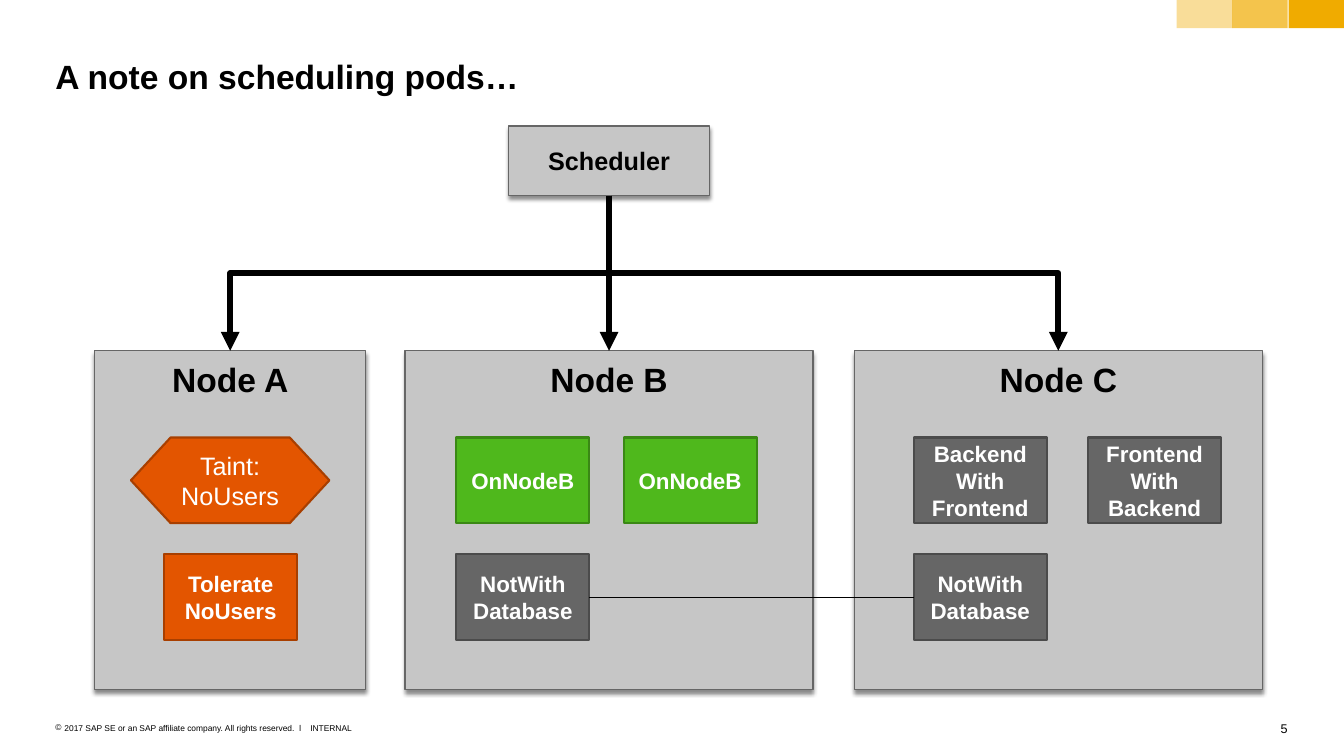
from lxml import etree
from pptx import Presentation
from pptx.dml.color import RGBColor
from pptx.enum.shapes import MSO_CONNECTOR as CONN, MSO_SHAPE as SHAPE
from pptx.enum.text import MSO_ANCHOR as ANCHOR, PP_ALIGN as ALIGN
from pptx.oxml.ns import qn
from pptx.util import Inches, Pt

FONT = "Arial"
COLORS = {
    "black": "000000", "white": "FFFFFF", "gold": "F0AB00",
    "panel": "C6C6C6", "gray": "666666", "gray_edge": "4B4B4B",
    "orange": "E35500", "orange_edge": "A83F00",
    "green": "4FB81C", "green_edge": "3A8815",
}
POD_W, POD_H = 1.32, 0.85
ROW_1, ROW_2 = 4.34, 5.5
NODE_TOP, NODE_H = 3.48, 3.36


def rgb(name):
    return RGBColor.from_string(COLORS[name])


def add_xml(parent, tag, **attrs):
    return etree.SubElement(parent, qn(tag), {k: str(v) for k, v in attrs.items()})


def write(tf, text, size=16, color="black", bold=False, align=ALIGN.LEFT,
          anchor=ANCHOR.TOP, wrap=True, inset=(0, 0), bullet=None):
    tf.word_wrap, tf.vertical_anchor = wrap, anchor
    tf.margin_left = tf.margin_right = Inches(inset[0])
    tf.margin_top = tf.margin_bottom = Inches(inset[1])
    p = tf.paragraphs[0]
    p.alignment = align
    if bullet:
        pPr = p._p.get_or_add_pPr()
        pPr.set("marL", str(Inches(0.09)))
        pPr.set("indent", str(-Inches(0.09)))
        add_xml(pPr, "a:buFont", typeface=FONT)
        add_xml(pPr, "a:buChar", char=bullet)
    r = p.add_run()
    r.text = text
    r.font.name, r.font.size, r.font.bold = FONT, Pt(size), bold
    r.font.color.rgb = rgb(color)


def add_label(slide, x, y, w, h, text, **fmt):
    sp = slide.shapes.add_textbox(Inches(x), Inches(y), Inches(w), Inches(h))
    write(sp.text_frame, text, **fmt)


def add_box(slide, x, y, w, h, fill, edge=None, edge_pt=1.5, kind=SHAPE.RECTANGLE):
    sp = slide.shapes.add_shape(kind, Inches(x), Inches(y), Inches(w), Inches(h))
    sp.shadow.inherit = False
    sp.fill.solid()
    sp.fill.fore_color.rgb = rgb(fill)
    if edge:
        sp.line.color.rgb = rgb(edge)
        sp.line.width = Pt(edge_pt)
    else:
        sp.line.fill.background()
    return sp


def add_band(slide, x, opacity):
    sp = add_box(slide, x, 0, 0.55, 0.28, "gold")
    clr = sp._element.spPr.find(".//" + qn("a:srgbClr"))
    add_xml(clr, "a:alpha", val=opacity * 1000)


def add_panel(slide, x, y, w, h, text, size=24, anchor=ANCHOR.TOP):
    sp = add_box(slide, x, y, w, h, "panel", "gray", 0.79)
    effects = sp._element.spPr.find(qn("a:effectLst"))
    shadow = add_xml(effects, "a:outerShdw", blurRad=Pt(3), dist=Pt(2.4),
                     dir=90 * 60000, algn="t", rotWithShape=0)
    clr = add_xml(shadow, "a:srgbClr", val=COLORS["black"])
    add_xml(clr, "a:alpha", val=45000)
    write(sp.text_frame, text, size=size, bold=True, align=ALIGN.CENTER,
          anchor=anchor, inset=(0.1, 0.08))
    return sp


def add_pod(slide, x, y, text, color, w=POD_W, size=16, bold=True, kind=SHAPE.RECTANGLE):
    sp = add_box(slide, x, y, w, POD_H, color, color + "_edge", kind=kind)
    write(sp.text_frame, text, size=size, color="white", bold=bold,
          align=ALIGN.CENTER, anchor=ANCHOR.MIDDLE, inset=(0.1, 0.08))
    return sp


def add_link(slide, start, start_side, end, end_side, width, kind=CONN.STRAIGHT, arrow=False):
    c = slide.shapes.add_connector(kind, 0, 0, 0, 0)
    c.begin_connect(start, start_side)
    c.end_connect(end, end_side)
    c.line.color.rgb = rgb("black")
    c.line.width = Pt(width)
    if arrow:
        add_xml(c.line._get_or_add_ln(), "a:tailEnd", type="triangle")
    add_xml(c._element.spPr, "a:effectLst")
    return c


def add_schedule_arrow(slide, scheduler, node):
    x1, y1 = scheduler.left + scheduler.width // 2, scheduler.top + scheduler.height
    x2, y2 = node.left + node.width // 2, node.top
    run, drop = x2 - x1, y2 - y1
    straight = abs(run) < Inches(0.02)
    c = add_link(slide, scheduler, 2, node, 0, 4.5,
                 CONN.STRAIGHT if straight else CONN.ELBOW, arrow=True)
    if straight:
        return
    # Turn the elbow so that it leaves downwards
    c.width, c.height = drop, abs(run)
    c.left, c.top = (x1 + x2 - drop) // 2, (y1 + y2 - abs(run)) // 2
    xfrm = c._element.spPr.find(qn("a:xfrm"))
    xfrm.set("rot", str((270 if run > 0 else 90) * 60000))
    xfrm.set("flipH", "1" if run > 0 else "0")


def main():
    prs = Presentation()
    prs.slide_width, prs.slide_height = Inches(13.34), Inches(7.5)
    slide = prs.slides.add_slide(prs.slide_layouts[6])

    # Footer and corner bands
    add_label(slide, 12.63, 7.15, 0.15, 0.15, "5", size=9, align=ALIGN.RIGHT, wrap=False)
    add_label(slide, 3.08, 7.17, 0.42, 0.1, "INTERNAL", size=6, wrap=False)
    add_label(slide, 0.55, 7.17, 2.48, 0.1,
              "2017 SAP SE or an SAP affiliate company. All rights reserved.  ǀ",
              size=6, bullet="©")
    for x, opacity in ((12.79, 100), (12.23, 70), (11.68, 40)):
        add_band(slide, x, opacity)

    # Title
    add_label(slide, 0.55, 0.55, 12.23, 0.4, "A note on scheduling pods…", size=24, bold=True)

    # Scheduler and nodes
    scheduler = add_panel(slide, 5.05, 1.25, 1.99, 0.69, "Scheduler", 18, ANCHOR.MIDDLE)
    for name, x, w in (("Node A", 0.94, 2.69), ("Node B", 4.02, 4.05), ("Node C", 8.48, 4.05)):
        node = add_panel(slide, x, NODE_TOP, w, NODE_H, name)
        add_schedule_arrow(slide, scheduler, node)

    # Taint and pods
    add_pod(slide, 1.3, ROW_1, "Taint: NoUsers", "orange", w=1.97, size=18, bold=False,
            kind=SHAPE.FLOWCHART_PREPARATION)
    for x, y, text, color in (
        (1.63, ROW_2, "Tolerate NoUsers", "orange"),
        (4.53, ROW_1, "OnNodeB", "green"),
        (6.19, ROW_1, "OnNodeB", "green"),
        (9.07, ROW_1, "Backend With Frontend", "gray"),
        (10.8, ROW_1, "Frontend With Backend", "gray"),
    ):
        add_pod(slide, x, y, text, color)

    # Pods kept apart
    left, right = [add_pod(slide, x, ROW_2, "NotWith Database", "gray") for x in (4.53, 9.07)]
    add_link(slide, left, 3, right, 1, 0.75)

    prs.save("out.pptx")


if __name__ == "__main__":
    main()
